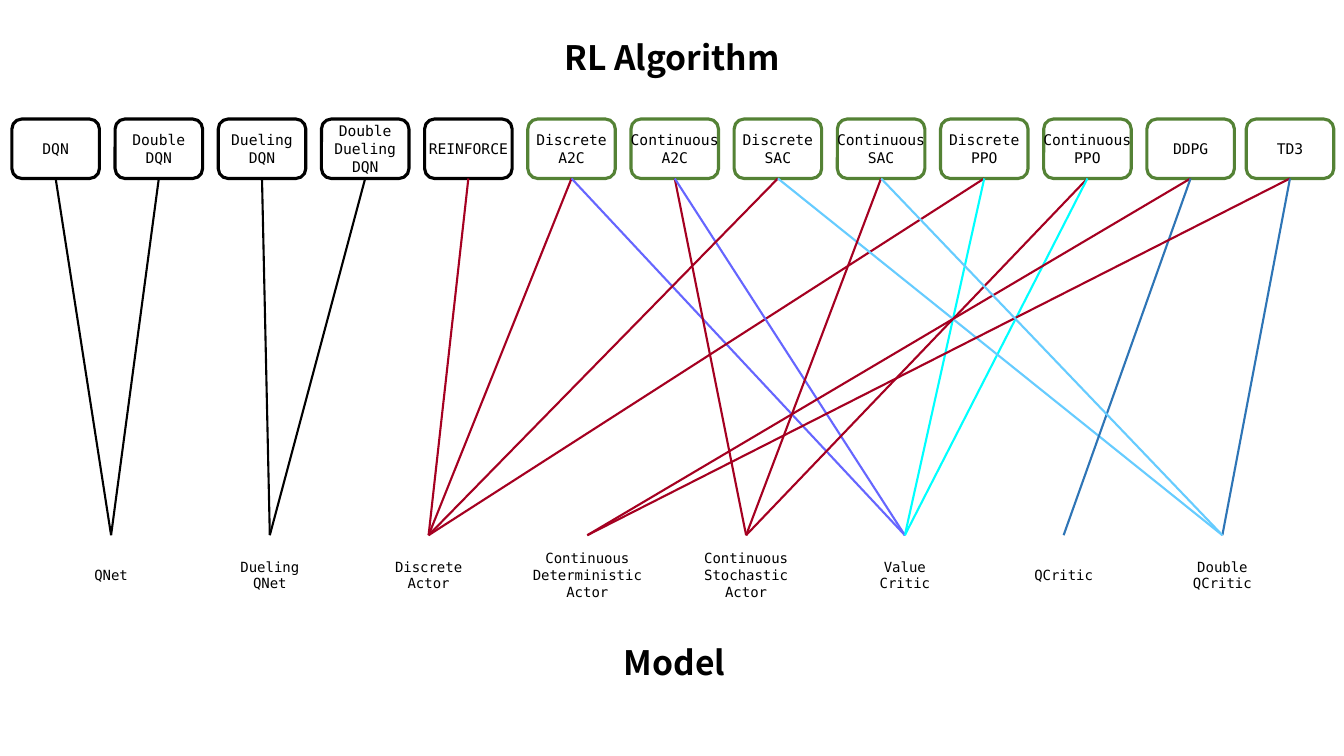
from dataclasses import dataclass

from lxml import etree
from pptx import Presentation
from pptx import util as u
from pptx.dml.color import RGBColor
from pptx.enum import shapes, text
from pptx.oxml import ns


@dataclass(frozen=True)
class Theme:
    ink: str = "000000"
    paper: str = "FFFFFF"
    green: str = "548235"
    actor: str = "A50021"
    a2c_critic: str = "6666FF"
    ppo_critic: str = "00FFFF"
    sac_critic: str = "66CCFF"
    q_critic: str = "2E75B6"
    mono: str = "DejaVu Sans Mono"
    sans: str = "Noto Sans CJK KR"
    title_size: float = 24
    algorithm_size: float = 10.5
    model_size: float = 10
    border: float = 2.25
    link: float = 1.5


class Diagram:
    def __init__(self, slide, theme):
        self.slide = slide
        self.theme = theme

    def label(self, frame, lines, font, size, bold=False):
        frame.vertical_anchor = text.MSO_ANCHOR.MIDDLE
        for index, line in enumerate(lines):
            paragraph = frame.add_paragraph() if index else frame.paragraphs[0]
            paragraph.alignment = text.PP_ALIGN.CENTER
            run = paragraph.add_run()
            run.text = line
            run.font.name = font
            run.font.size = u.Pt(size)
            run.font.bold = bold
            run.font.color.rgb = RGBColor.from_string(self.theme.ink)

    def title(self, words, left, top, width, height):
        heading = self.slide.shapes.add_textbox(*map(u.Pt, (left, top, width, height)))
        frame = heading.text_frame
        frame.word_wrap = True
        frame.auto_size = text.MSO_AUTO_SIZE.SHAPE_TO_FIT_TEXT
        self.label(frame, [words], self.theme.sans, self.theme.title_size, True)

    def node(self, name, left, top, width, height, size, border=None):
        node = self.slide.shapes.add_shape(
            shapes.MSO_SHAPE.ROUNDED_RECTANGLE, *map(u.Pt, (left, top, width, height))
        )
        node.shadow.inherit = False
        node.fill.solid()
        node.fill.fore_color.rgb = RGBColor.from_string(self.theme.paper)
        if border:
            node.line.color.rgb = RGBColor.from_string(border)
            node.line.width = u.Pt(self.theme.border)
        else:
            node.line.fill.background()
        frame = node.text_frame
        frame.margin_left = frame.margin_right = frame.margin_top = frame.margin_bottom = 0
        frame.word_wrap = border is None
        self.label(frame, name.split(), self.theme.mono, size)
        return node

    def link(self, model, algorithm, color):
        link = self.slide.shapes.add_connector(shapes.MSO_CONNECTOR.STRAIGHT, 0, 0, 0, 0)
        link.begin_connect(model, 0)
        link.end_connect(algorithm, 2)
        link.line.color.rgb = RGBColor.from_string(color)
        link.line.width = u.Pt(self.theme.link)
        etree.SubElement(link._element.spPr, ns.qn("a:effectLst"))


ALGORITHMS = [
    "DQN", "Double DQN", "Dueling DQN", "Double Dueling DQN", "REINFORCE",
    "Discrete A2C", "Continuous A2C", "Discrete SAC", "Continuous SAC",
    "Discrete PPO", "Continuous PPO", "DDPG", "TD3",
]
MODELS = [
    "QNet", "Dueling QNet", "Discrete Actor", "Continuous Deterministic Actor",
    "Continuous Stochastic Actor", "Value Critic", "QCritic", "Double QCritic",
]
BLACK_BORDERED = 5
ALGORITHM_LEFT, ALGORITHM_PITCH, TD3_LEFT = 8.5, 73.7, 890.2
MODEL_LEFT, MODEL_PITCH = 36.85, 113.4


def main():
    deck = Presentation()
    deck.slide_width, deck.slide_height = u.Pt(960), u.Pt(540)
    theme = Theme()
    diagram = Diagram(deck.slides.add_slide(deck.slide_layouts[6]), theme)

    links = [
        ("QNet", "DQN", theme.ink),
        ("QNet", "Double DQN", theme.ink),
        ("Dueling QNet", "Dueling DQN", theme.ink),
        ("Dueling QNet", "Double Dueling DQN", theme.ink),
        ("Discrete Actor", "REINFORCE", theme.actor),
        ("Discrete Actor", "Discrete A2C", theme.actor),
        ("Value Critic", "Discrete A2C", theme.a2c_critic),
        ("Discrete Actor", "Discrete PPO", theme.actor),
        ("Value Critic", "Discrete PPO", theme.ppo_critic),
        ("Continuous Stochastic Actor", "Continuous A2C", theme.actor),
        ("Value Critic", "Continuous A2C", theme.a2c_critic),
        ("Continuous Stochastic Actor", "Continuous PPO", theme.actor),
        ("Value Critic", "Continuous PPO", theme.ppo_critic),
        ("Discrete Actor", "Discrete SAC", theme.actor),
        ("Double QCritic", "Discrete SAC", theme.sac_critic),
        ("Continuous Deterministic Actor", "DDPG", theme.actor),
        ("QCritic", "DDPG", theme.q_critic),
        ("Continuous Deterministic Actor", "TD3", theme.actor),
        ("Double QCritic", "TD3", theme.q_critic),
        ("Continuous Stochastic Actor", "Continuous SAC", theme.actor),
        ("Double QCritic", "Continuous SAC", theme.sac_critic),
    ]

    models = {
        name: diagram.node(
            name, MODEL_LEFT + index * MODEL_PITCH, 382.3, 85, 56.7, theme.model_size
        )
        for index, name in enumerate(MODELS)
    }
    diagram.title("RL Algorithm", 360, 23, 240, 36)

    algorithms = {}
    for index, name in enumerate(ALGORITHMS):
        left = TD3_LEFT if name == "TD3" else ALGORITHM_LEFT + index * ALGORITHM_PITCH
        border = theme.ink if index < BLACK_BORDERED else theme.green
        algorithms[name] = diagram.node(
            name, left, 85, 62.5, 42.5, theme.algorithm_size, border
        )
    diagram.title("Model", 383.8, 455, 195.8, 36)

    for model, algorithm, color in links:
        diagram.link(models[model], algorithms[algorithm], color)

    deck.save("out.pptx")


if __name__ == "__main__":
    main()
